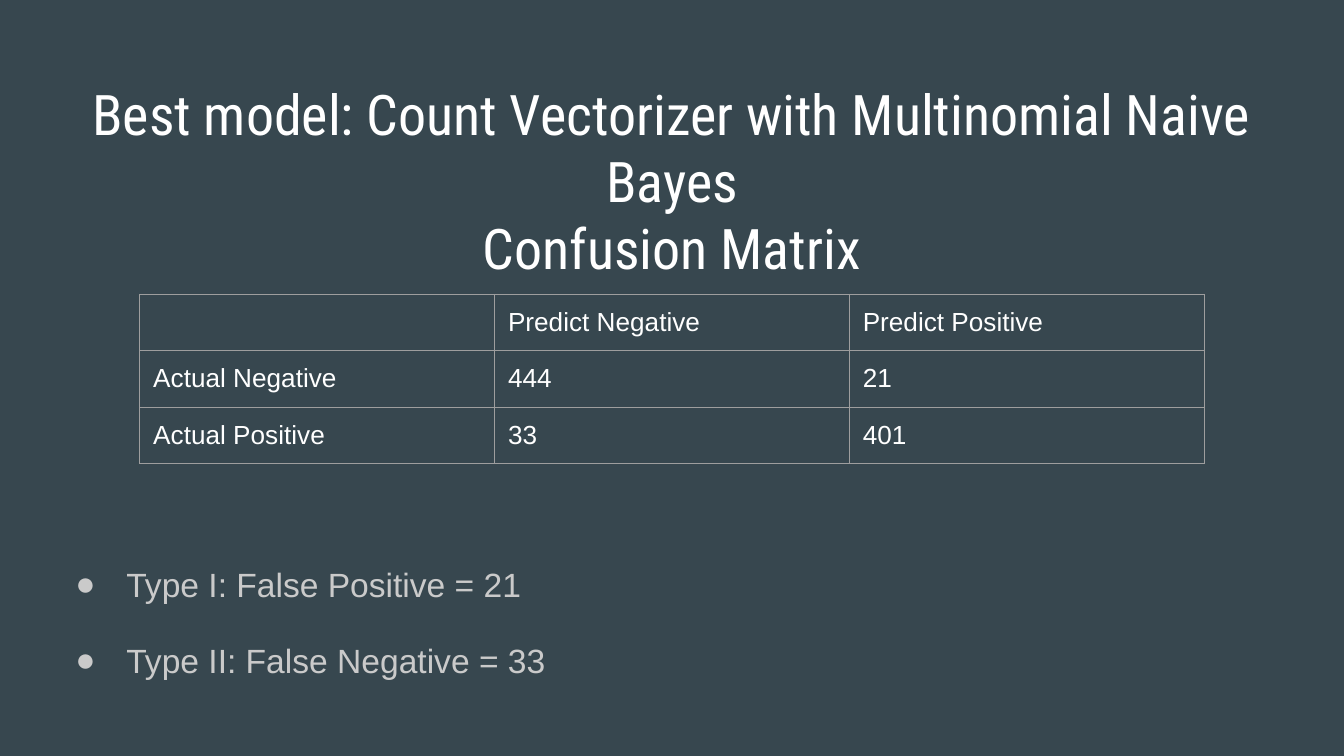
from dataclasses import dataclass
from lxml.etree import SubElement
from pptx import Presentation
from pptx.dml.color import RGBColor
from pptx.enum.text import MSO_ANCHOR, MSO_AUTO_SIZE, PP_ALIGN
from pptx.oxml.ns import qn
from pptx.util import Inches, Pt


@dataclass(frozen=True)
class Theme:
    back: str = "37474F"
    white: str = "FFFFFF"
    muted: str = "CACACA"
    rule: str = "9E9E9E"
    head: str = "Roboto Condensed"
    text: str = "Arial"
    title: int = 30
    body: int = 18
    cell: int = 14


theme = Theme()


def add_run(para, text, font, size, color):
    run = para.add_run()
    run.text = text
    run.font.name = font
    run.font.size = Pt(size)
    run.font.color.rgb = RGBColor.from_string(color)


def set_frame(shape, top, height, inset):
    shape.left, shape.top = Inches(0.34), Inches(top)
    shape.width, shape.height = Inches(9.32), Inches(height)
    frame = shape.text_frame
    frame.word_wrap = True
    frame.auto_size = MSO_AUTO_SIZE.NONE
    frame.vertical_anchor = MSO_ANCHOR.TOP
    frame.margin_left = frame.margin_right = frame.margin_bottom = Inches(0.1)
    frame.margin_top = Inches(inset)
    return frame


# Slide (16:9) and background
deck = Presentation()
deck.slide_width, deck.slide_height = Inches(10), Inches(10 * 9 / 16)
slide = deck.slides.add_slide(deck.slide_layouts[1])
slide.background.fill.solid()
slide.background.fill.fore_color.rgb = RGBColor.from_string(theme.back)

# Title
frame = set_frame(slide.shapes.title, 0.49, 0.63, 0.1)
lines = ["Best model: Count Vectorizer with Multinomial Naive Bayes", "Confusion Matrix"]
for i, line in enumerate(lines):
    para = frame.add_paragraph() if i else frame.paragraphs[0]
    para.alignment = PP_ALIGN.CENTER
    add_run(para, line, theme.head, theme.title, theme.white)

# Error types, set below the table by the top inset
frame = set_frame(slide.placeholders[1], 1.26, 3.74, 2.89)
errors = ["Type I: False Positive = 21", "Type II: False Negative = 33"]
for i, line in enumerate(errors):
    para = frame.add_paragraph() if i else frame.paragraphs[0]
    para.line_spacing = 1.15
    para.space_before = Pt(16 if i else 0)
    add_run(para, line, theme.text, theme.body, theme.muted)
    props = para._p.get_or_add_pPr()
    props.set("marL", str(Inches(0.5)))
    props.set("indent", str(Inches(-0.38)))
    tint = SubElement(props, qn("a:buClr"))
    SubElement(tint, qn("a:srgbClr"), val=theme.muted)
    SubElement(props, qn("a:buFont"), typeface=theme.text)
    SubElement(props, qn("a:buChar"), char="●")

# Confusion matrix
matrix = [
    ["", "Predict Negative", "Predict Positive"],
    ["Actual Negative", "444", "21"],
    ["Actual Positive", "33", "401"],
]
table = slide.shapes.add_table(
    3, 3, Inches(1.04), Inches(2.19), Inches(7.92), Inches(1.26)).table
table.first_row = table.horz_banding = False
for r, row in enumerate(matrix):
    table.rows[r].height = Inches(0.42)
    for c, text in enumerate(row):
        cell = table.cell(r, c)
        if text:
            cell.margin_left = cell.margin_right = Inches(0.1)
            cell.margin_top = cell.margin_bottom = Inches(0.1)
            add_run(cell.text_frame.paragraphs[0], text,
                    theme.text, theme.cell, theme.white)
        # Borders come before the fill in the cell's XML
        props = cell._tc.get_or_add_tcPr()
        for side in ("lnL", "lnR", "lnT", "lnB"):
            edge = SubElement(props, qn(f"a:{side}"), w=str(Pt(0.75)))
            paint = SubElement(edge, qn("a:solidFill"))
            SubElement(paint, qn("a:srgbClr"), val=theme.rule)
        cell.fill.background()

deck.save("out.pptx")
